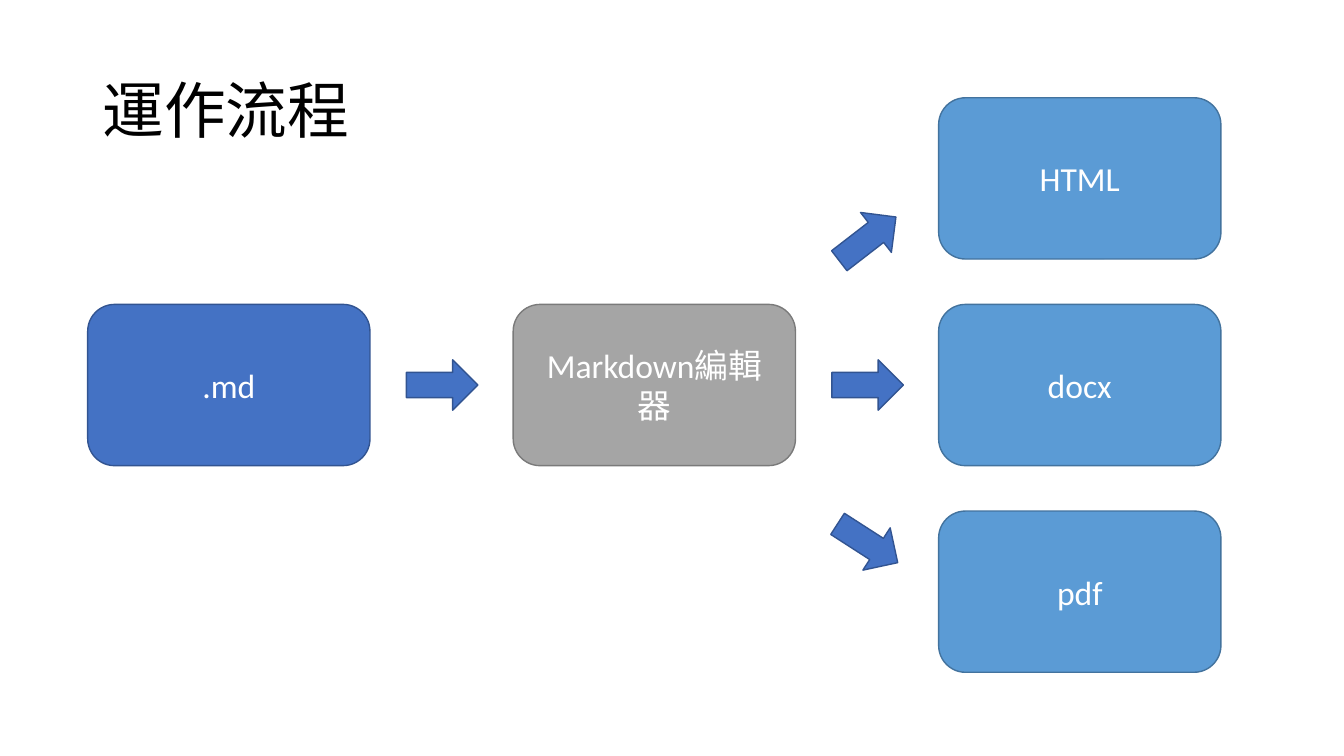
from dataclasses import dataclass

from pptx import Presentation
from pptx.dml.color import RGBColor
from pptx.enum.shapes import MSO_SHAPE
from pptx.enum.text import MSO_ANCHOR, PP_ALIGN
from pptx.util import Inches, Pt


@dataclass(frozen=True)
class Theme:
    font: str = "Calibri"
    title_size: int = 44
    box_size: int = 24
    line_width: int = 1
    title_color: str = "000000"
    box_text: str = "FFFFFF"
    # Each pair is fill, outline
    source: tuple = ("4472C4", "325491")
    editor: tuple = ("A5A5A5", "7A7A7A")
    output: tuple = ("5B9BD5", "43739E")


THEME = Theme()
BOX_WIDTH, BOX_HEIGHT = 2.8, 1.6
COLUMN_PITCH, ROW_PITCH = 4.22, 2.05
ARROW_WIDTH, ARROW_HEIGHT = 0.71, 0.5
ARROW_GAP = 0.36


def set_text(shape, text, size, color, alignment):
    text_frame = shape.text_frame
    text_frame.word_wrap = True
    text_frame.vertical_anchor = MSO_ANCHOR.MIDDLE
    text_frame.text = text
    paragraph = text_frame.paragraphs[0]
    paragraph.alignment = alignment
    font = paragraph.runs[0].font
    font.name = THEME.font
    font.size = Pt(size)
    font.color.rgb = RGBColor.from_string(color)
    return paragraph


def add_title(slide, text, left, top, width, height):
    title = slide.shapes.add_textbox(
        Inches(left), Inches(top), Inches(width), Inches(height))
    paragraph = set_text(title, text, THEME.title_size, THEME.title_color, PP_ALIGN.LEFT)
    paragraph.line_spacing = 0.9


def add_filled_shape(slide, kind, colors, left, top, width, height):
    shape = slide.shapes.add_shape(
        kind, Inches(left), Inches(top), Inches(width), Inches(height))
    fill, outline = colors
    shape.shadow.inherit = False
    shape.fill.solid()
    shape.fill.fore_color.rgb = RGBColor.from_string(fill)
    shape.line.color.rgb = RGBColor.from_string(outline)
    shape.line.width = Pt(THEME.line_width)
    return shape


def add_box(slide, text, colors, left, top):
    box = add_filled_shape(slide, MSO_SHAPE.ROUNDED_RECTANGLE, colors,
                           left, top, BOX_WIDTH, BOX_HEIGHT)
    set_text(box, text, THEME.box_size, THEME.box_text, PP_ALIGN.CENTER)


def add_arrow(slide, left, top, rotation=0):
    arrow = add_filled_shape(slide, MSO_SHAPE.RIGHT_ARROW, THEME.source,
                             left, top, ARROW_WIDTH, ARROW_HEIGHT)
    arrow.rotation = rotation


def add_flow(slide, left, top):
    """Place the source, the editor and the stacked output formats."""
    source_left, editor_left, output_left = (
        left + column * COLUMN_PITCH for column in range(3))
    middle_top = top + ROW_PITCH
    add_box(slide, ".md", THEME.source, source_left, middle_top)
    add_box(slide, "Markdown編輯器", THEME.editor, editor_left, middle_top)
    for row, name in enumerate(("HTML", "docx", "pdf")):
        add_box(slide, name, THEME.output, output_left, top + row * ROW_PITCH)

    arrow_offset = BOX_WIDTH + ARROW_GAP
    arrow_top = middle_top + (BOX_HEIGHT - ARROW_HEIGHT) / 2
    add_arrow(slide, source_left + arrow_offset, arrow_top)
    for shift, rotation in ((-1.45, 322.3), (0, 0), (1.57, 32.8)):
        add_arrow(slide, editor_left + arrow_offset, arrow_top + shift, rotation)


def main():
    presentation = Presentation()
    presentation.slide_width = Inches(13.33)
    presentation.slide_height = Inches(7.5)
    slide = presentation.slides.add_slide(presentation.slide_layouts[6])
    add_title(slide, "運作流程", 0.92, 0.4, 11.5, 1.45)
    add_flow(slide, 0.87, 0.97)
    presentation.save("out.pptx")


if __name__ == "__main__":
    main()
